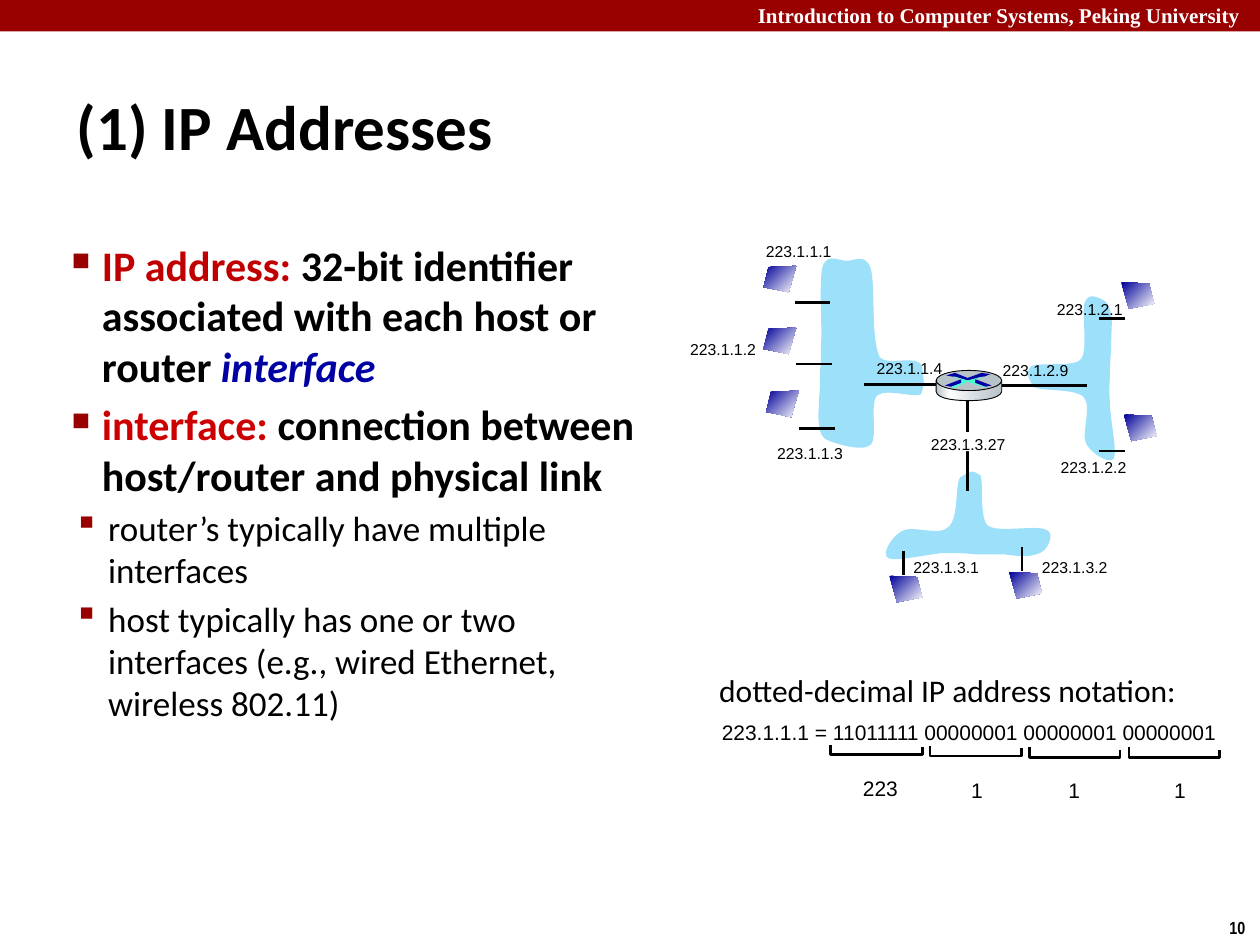
from lxml.etree import SubElement
from pptx import Presentation
from pptx.dml.color import RGBColor
from pptx.enum.shapes import MSO_CONNECTOR, MSO_SHAPE
from pptx.enum.text import MSO_ANCHOR, MSO_AUTO_SIZE, PP_ALIGN
from pptx.oxml.ns import qn
from pptx.util import Emu, Pt

SCALE = 9144
BLACK, WHITE, DARK_RED, NAVY = "000000", "FFFFFF", "990000", "0000A3"
CLOUD_BLUE, STEEL = "9CE0FA", "B8C2C9"

HEADER = "Introduction to Computer Systems, Peking University"
TITLE = "(1) IP Addresses"
BODY = [
    (0, [("IP address: ", "C00000", False),
         ("32-bit identifier associated with each host or router ", BLACK, False),
         ("interface", NAVY, True)]),
    (0, [("interface:", "CC0000", False),
         (" connection between host/router and physical link", BLACK, False)]),
    (1, [("router’s typically have multiple interfaces", BLACK, False)]),
    (1, [("host typically has one or two interfaces (e.g., wired Ethernet, "
          "wireless 802.11)", BLACK, False)]),
]
LEVELS = [
    dict(size=24, bold=True, left=38, bullet="n", percent=60),
    dict(size=20, bold=False, left=43, bullet="§", percent=110),
]
BULLET_FONT = "Wingdings"
HANGING = 24

CLOUDS = [
    [(762, 379), (758, 385, 761, 411, 753, 418), (746, 426, 725, 417, 717, 421),
     (708, 425, 699, 440, 705, 443), (710, 446, 737, 440, 748, 439),
     (760, 439, 766, 439, 774, 440), (782, 440, 790, 440, 797, 440),
     (804, 441, 813, 442, 818, 441), (824, 440, 829, 438, 831, 434),
     (833, 431, 837, 422, 829, 420), (821, 417, 790, 423, 784, 417),
     (777, 411, 781, 382, 778, 377), (771, 374, 774, 372, 762, 379)],
    [(820, 307), (827, 311, 852, 308, 860, 315), (867, 323, 858, 344, 862, 352),
     (866, 360, 881, 369, 884, 364), (887, 359, 881, 332, 881, 320),
     (880, 309, 881, 303, 881, 295), (881, 287, 882, 279, 882, 272),
     (882, 264, 883, 256, 882, 250), (881, 245, 879, 239, 875, 238),
     (872, 236, 864, 232, 861, 240), (858, 247, 864, 278, 858, 285),
     (853, 292, 824, 287, 818, 291), (815, 297, 814, 295, 820, 307)],
    [(732, 293), (731, 279, 704, 292, 698, 283), (691, 269, 695, 226, 691, 213),
     (687, 201, 678, 207, 672, 207), (666, 207, 657, 201, 653, 211),
     (650, 221, 652, 254, 652, 267), (651, 281, 652, 284, 651, 293),
     (651, 301, 651, 308, 650, 316), (650, 323, 649, 331, 650, 337),
     (651, 343, 651, 347, 658, 350), (664, 352, 684, 359, 691, 353),
     (697, 347, 690, 321, 696, 314), (703, 308, 725, 316, 731, 313),
     (733, 306, 734, 307, 732, 293)],
]
ROUTER_LINK = (768, 318, 768, 390)
LABEL_MASKS = [(545, 272, 68, 15), (734, 343, 70, 15)]
ADDRESSES = [
    ("223.1.1.1", 598, 187), ("223.1.1.2", 538, 265), ("223.1.1.3", 607, 347),
    ("223.1.1.4", 686, 280), ("223.1.2.9", 786, 281), ("223.1.2.2", 832, 358),
    ("223.1.2.1", 829, 233), ("223.1.3.2", 817, 438), ("223.1.3.1", 715, 438),
    ("223.1.3.27", 729, 340),
]
NOTATION_TITLE = "dotted-decimal IP address notation:"
NOTATION = "223.1.1.1 = 11011111 00000001 00000001 00000001"
BYTES = [("223", 675, 611, 48), ("1", 761, 612, 29), ("1", 838, 612, 29), ("1", 922, 612, 29)]
BRACKETS = [(659, 591, 73), (738, 592, 73), (817, 593, 72), (896, 593, 72)]
BRACKET_HEIGHT = 8

HOST_OUTLINE = [(0, 0), (22, 1), (26, 17), (6, 21)]
HOST_WIDTH = 26
HOSTS = [
    (606, 211, True), (606, 260, True), (608, 310, True), (890, 224, False),
    (892, 329, False), (801, 454, False), (706, 457, False),
]
HOST_GRADIENT = [(0, "000099"), (100, WHITE)]
LINKS = [
    (631, 240, 659, 240), (632, 289, 660, 289), (634, 340, 663, 340),
    (686, 305, 751, 305), (783, 306, 863, 306), (872, 253, 893, 253),
    (872, 358, 893, 358), (717, 437, 717, 456), (811, 434, 811, 453),
]
ROUTER_BODY = [(795, 302), (795, 311), (793, 317, 777, 318, 769, 318),
               (760, 318, 744, 317, 743, 311), (743, 309, 743, 304, 743, 302),
               (745, 307, 760, 310, 768, 310), (777, 310, 792, 308, 795, 302)]
ROUTER_GRADIENT = [(0, STEEL), (21, WHITE), (60, "D6DCE0"), (100, STEEL)]
ROUTER_TOP = (743, 294, 52, 16)
ROUTER_ARROWS = [
    (NAVY, [(779, 296), (786, 297), (781, 299), (780, 299), (768, 302), (758, 299),
            (756, 299), (751, 298), (758, 296), (768, 300)]),
    (NAVY, [(774, 301), (787, 306), (782, 307), (774, 304)]),
    ("0000A8", [(763, 301), (763, 304), (755, 307), (750, 306)]),
    ("47FFD1", [(756, 299), (758, 299), (768, 302), (779, 299), (781, 299), (774, 301),
                (774, 304), (782, 307), (780, 307), (768, 303), (757, 308), (755, 307),
                (763, 304), (763, 301)]),
]


def px(*lengths):
    """Turn px lengths into a list of EMU."""
    return [Emu(round(length * SCALE)) for length in lengths]


def color(value):
    """Turn a hex string into a colour."""
    return RGBColor.from_string(value)


def paint(shape, fill=None, line=None, width=1.5, gradient=None, angle=0):
    """Set the fill and outline of a shape and drop its shadow."""
    shape.shadow.inherit = False
    if gradient:
        shape.fill.gradient()
        shape.fill.gradient_angle = angle
        stops = next(shape._element.iter(qn("a:gsLst")))
        stops.clear()
        for position, value in gradient:
            stop = SubElement(stops, qn("a:gs"), pos=str(position * 1000))
            SubElement(stop, qn("a:srgbClr"), val=value)
    elif fill:
        shape.fill.solid()
        shape.fill.fore_color.rgb = color(fill)
    else:
        shape.fill.background()
    if line:
        shape.line.color.rgb = color(line)
        shape.line.width = Pt(width)
    else:
        shape.line.fill.background()


def add_preset(slide, kind, box, **style):
    """Add a painted preset shape."""
    paint(slide.shapes.add_shape(kind, *px(*box)), **style)


def add_outline(slide, segments, close=True, **style):
    """Add a freeform of line ends (2 numbers) and cubic curves (6 numbers)."""
    ends = [px(*segment[-2:]) for segment in segments]
    builder = slide.shapes.build_freeform(*ends[0], scale=1.0)
    builder.add_line_segments(ends[1:], close=close)
    shape = builder.convert_to_shape()
    lines = list(shape._element.iter(qn("a:lnTo")))
    for line, segment in zip(lines, segments[1:]):
        if len(segment) == 6:
            curve = line.makeelement(qn("a:cubicBezTo"))
            numbers = px(*segment)
            for x, y in zip(numbers[::2], numbers[1::2]):
                SubElement(curve, qn("a:pt"), x=str(x - shape.left), y=str(y - shape.top))
            line.getparent().replace(line, curve)
    paint(shape, **style)


def add_link(slide, ends):
    """Add a black straight line."""
    link = slide.shapes.add_connector(MSO_CONNECTOR.STRAIGHT, *px(*ends))
    link.line.color.rgb = color(BLACK)
    link.line.width = Pt(1.5)
    SubElement(link._element.spPr, qn("a:effectLst"))


def style_font(font, name, size, value=BLACK, bold=False, italic=False):
    """Set all properties of a font."""
    font.name, font.size, font.bold, font.italic = name, Pt(size), bold, italic
    font.color.rgb = color(value)


def add_text(slide, text, box, name, size, value=BLACK, bold=False, wrap=False):
    """Add a one-paragraph text box and return its frame."""
    frame = slide.shapes.add_textbox(*px(*box)).text_frame
    frame.text = text
    frame.word_wrap = wrap
    frame.auto_size = MSO_AUTO_SIZE.NONE if wrap else MSO_AUTO_SIZE.SHAPE_TO_FIT_TEXT
    style_font(frame.paragraphs[0].runs[0].font, name, size, value, bold)
    return frame


def add_body(slide):
    """Add the bulleted text."""
    frame = slide.shapes.add_textbox(*px(33, 185, 491, 465)).text_frame
    frame.word_wrap = True
    for index, (depth, runs) in enumerate(BODY):
        paragraph = frame.add_paragraph() if index else frame.paragraphs[0]
        level = LEVELS[depth]
        paragraph.level = depth
        paragraph.space_before = Pt(level["size"] * 0.2 if index else 0)
        properties = paragraph._p.get_or_add_pPr()
        left, indent = px(level["left"], -HANGING)
        properties.set("marL", str(left))
        properties.set("indent", str(indent))
        SubElement(SubElement(properties, qn("a:buClr")), qn("a:srgbClr"), val=DARK_RED)
        SubElement(properties, qn("a:buSzPct"), val=str(level["percent"] * 1000))
        SubElement(properties, qn("a:buFont"), typeface=BULLET_FONT, charset="2")
        SubElement(properties, qn("a:buChar"), char=level["bullet"])
        for text, value, italic in runs:
            run = paragraph.add_run()
            run.text = text
            style_font(run.font, "Calibri", level["size"], value, level["bold"], italic)


def add_network(slide):
    """Add the subnets, hosts, links and router."""
    for cloud in CLOUDS:
        add_outline(slide, cloud, fill=CLOUD_BLUE)
    add_link(slide, ROUTER_LINK)
    for mask in LABEL_MASKS:
        add_preset(slide, MSO_SHAPE.RECTANGLE, mask, fill=WHITE)
    for text, left, top in ADDRESSES:
        add_text(slide, text, (left, top, 73 if len(text) == 9 else 80, 25), "Arial", 9)
    for left, top, mirrored in HOSTS:
        outline = [(left + (HOST_WIDTH - x if mirrored else x), top + y) for x, y in HOST_OUTLINE]
        add_outline(slide, outline, gradient=HOST_GRADIENT, angle=315)
    for ends in LINKS:
        add_link(slide, ends)
    add_outline(slide, ROUTER_BODY, gradient=ROUTER_GRADIENT, line=BLACK, width=0.5)
    add_preset(slide, MSO_SHAPE.OVAL, ROUTER_TOP, fill=STEEL, line=BLACK, width=0.5)
    for fill, outline in ROUTER_ARROWS:
        add_outline(slide, outline, fill=fill)


def add_notation(slide):
    """Add the dotted-decimal example with a bracket under each byte."""
    add_text(slide, NOTATION_TITLE, (561, 528, 388, 40), "Calibri", 18)
    add_text(slide, NOTATION, (563, 566, 421, 30), "Arial", 12)
    for left, top, width in BRACKETS:
        right, bottom = left + width, top + BRACKET_HEIGHT
        corners = [(left, top), (left, bottom), (right, bottom), (right, top + 2)]
        add_outline(slide, corners, close=False, line=BLACK)
    for text, left, top, width in BYTES:
        add_text(slide, text, (left, top, width, 30), "Arial", 12)


def main():
    """Build the slide and save it."""
    presentation = Presentation()
    presentation.slide_width, presentation.slide_height = px(1000, 750)
    slide = presentation.slides.add_slide(presentation.slide_layouts[6])
    add_preset(slide, MSO_SHAPE.RECTANGLE, (0, 0, 1000, 25), fill=DARK_RED)
    header = add_text(slide, HEADER, (475, -3, 519, 30), "Times New Roman", 12, WHITE, True, True)
    header.paragraphs[0].alignment = PP_ALIGN.RIGHT
    add_text(slide, "10", (966, 723, 34, 27), "Arial Narrow", 10, bold=True)
    add_body(slide)
    title = add_text(slide, TITLE, (51, 63, 862, 73), "Calibri", 36, bold=True, wrap=True)
    title.vertical_anchor = MSO_ANCHOR.MIDDLE
    add_network(slide)
    add_notation(slide)
    presentation.save("out.pptx")


if __name__ == "__main__":
    main()
